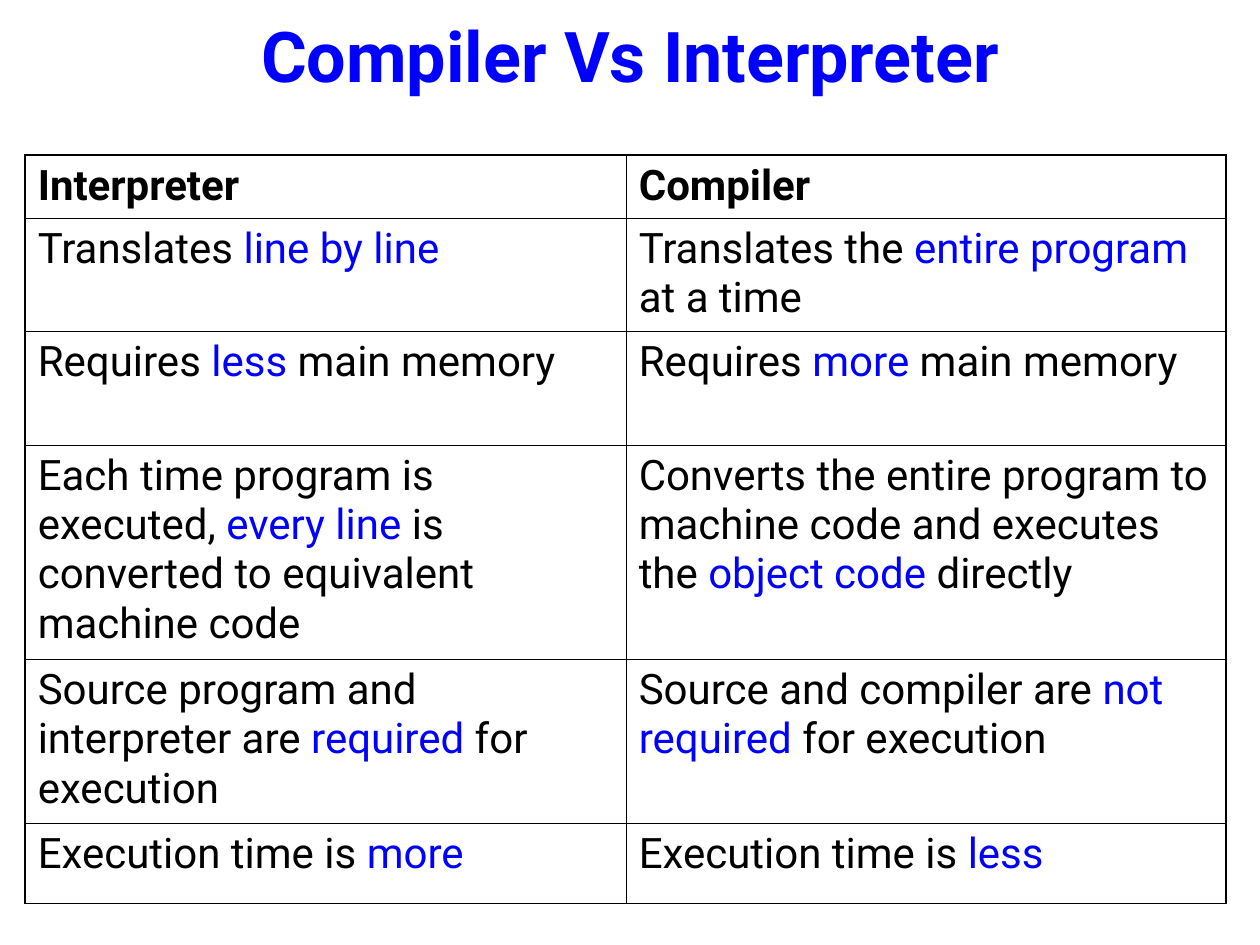
"""Build a slide with a table comparing interpreters and compilers."""
from dataclasses import dataclass

import lxml.etree
import pptx
import pptx.dml.color
import pptx.enum.text
import pptx.oxml.ns
import pptx.slide
import pptx.table
import pptx.text.text
import pptx.util

BLACK = pptx.dml.color.RGBColor(0x00, 0x00, 0x00)
BLUE = pptx.dml.color.RGBColor(0x00, 0x00, 0xFF)
FONT_NAME = "Roboto"
OUTER_BORDER = pptx.util.Pt(1.08)
INNER_BORDER = pptx.util.Pt(0.45)
COLUMN_WIDTHS = (4.77, 4.76)


@dataclass(frozen=True)
class Statement:
    before: str
    emphasis: str = ""
    after: str = ""


@dataclass(frozen=True)
class Comparison:
    height: float
    interpreter: Statement
    compiler: Statement
    bold: bool = False


COMPARISONS = (
    Comparison(0.5, Statement("Interpreter"), Statement("Compiler"), bold=True),
    Comparison(
        0.9,
        Statement("Translates ", "line by line"),
        Statement("Translates the ", "entire program", " at a time"),
    ),
    Comparison(
        0.9,
        Statement("Requires ", "less", " main memory"),
        Statement("Requires ", "more", " main memory"),
    ),
    Comparison(
        1.7,
        Statement("Each time program is executed, ", "every line",
                  " is converted to equivalent machine code"),
        Statement("Converts the entire program to machine code and executes the ",
                  "object code", " directly"),
    ),
    Comparison(
        1.3,
        Statement("Source program and interpreter are ", "required", " for execution"),
        Statement("Source and compiler are ", "not required", " for execution"),
    ),
    Comparison(
        0.64,
        Statement("Execution time is ", "more"),
        Statement("Execution time is ", "less"),
    ),
)


def format_font(font: pptx.text.text.Font, size: int,
                color: pptx.dml.color.RGBColor, bold: bool) -> None:
    font.name = FONT_NAME
    font.size = pptx.util.Pt(size)
    font.color.rgb = color
    font.bold = bold


def add_title(slide: pptx.slide.Slide, title: str) -> None:
    shape = slide.shapes.add_textbox(
        pptx.util.Inches(0.5), pptx.util.Inches(0.13),
        pptx.util.Inches(9), pptx.util.Inches(0.61))
    text_frame = shape.text_frame
    text_frame.word_wrap = True
    text_frame.vertical_anchor = pptx.enum.text.MSO_ANCHOR.MIDDLE
    text_frame.margin_top = text_frame.margin_bottom = 0
    text_frame.text = title
    paragraph = text_frame.paragraphs[0]
    paragraph.alignment = pptx.enum.text.PP_ALIGN.CENTER
    format_font(paragraph.runs[0].font, 40, BLUE, True)


def set_borders(cell: pptx.table._Cell, outer_edges: dict[str, bool]) -> None:
    qualify = pptx.oxml.ns.qn
    properties = cell._tc.get_or_add_tcPr()
    for position, (edge, is_outer) in enumerate(outer_edges.items()):
        width = OUTER_BORDER if is_outer else INNER_BORDER
        line = lxml.etree.Element(qualify(f"a:ln{edge}"), w=str(int(width)))
        fill = lxml.etree.SubElement(line, qualify("a:solidFill"))
        lxml.etree.SubElement(fill, qualify("a:srgbClr"), val=str(BLACK))
        properties.insert(position, line)


def write_statement(cell: pptx.table._Cell, statement: Statement, bold: bool) -> None:
    cell.fill.background()
    paragraph = cell.text_frame.paragraphs[0]
    paragraph.space_before = pptx.util.Pt(6)
    parts = ((statement.before, BLACK), (statement.emphasis, BLUE),
             (statement.after, BLACK))
    for text, color in parts:
        if text:
            run = paragraph.add_run()
            run.text = text
            format_font(run.font, 24, color, bold)


def add_comparison_table(slide: pptx.slide.Slide) -> None:
    row_count, column_count = len(COMPARISONS), len(COLUMN_WIDTHS)
    table = slide.shapes.add_table(
        row_count, column_count,
        pptx.util.Inches(0.2), pptx.util.Inches(1.23),
        pptx.util.Inches(sum(COLUMN_WIDTHS)),
        pptx.util.Inches(sum(comparison.height for comparison in COMPARISONS)),
    ).table
    table.first_row = table.horz_banding = False
    for column, width in zip(table.columns, COLUMN_WIDTHS):
        column.width = pptx.util.Inches(width)
    for row_index, comparison in enumerate(COMPARISONS):
        table.rows[row_index].height = pptx.util.Inches(comparison.height)
        statements = (comparison.interpreter, comparison.compiler)
        for column_index, statement in enumerate(statements):
            cell = table.cell(row_index, column_index)
            write_statement(cell, statement, comparison.bold)
            set_borders(cell, {
                "L": column_index == 0,
                "R": column_index == column_count - 1,
                "T": row_index == 0,
                "B": row_index == row_count - 1,
            })


def main() -> None:
    presentation = pptx.Presentation()
    presentation.slide_width = pptx.util.Inches(10)
    presentation.slide_height = pptx.util.Inches(7.5)
    slide = presentation.slides.add_slide(presentation.slide_layouts[6])
    add_title(slide, "Compiler Vs Interpreter")
    add_comparison_table(slide)
    presentation.save("out.pptx")


if __name__ == "__main__":
    main()
